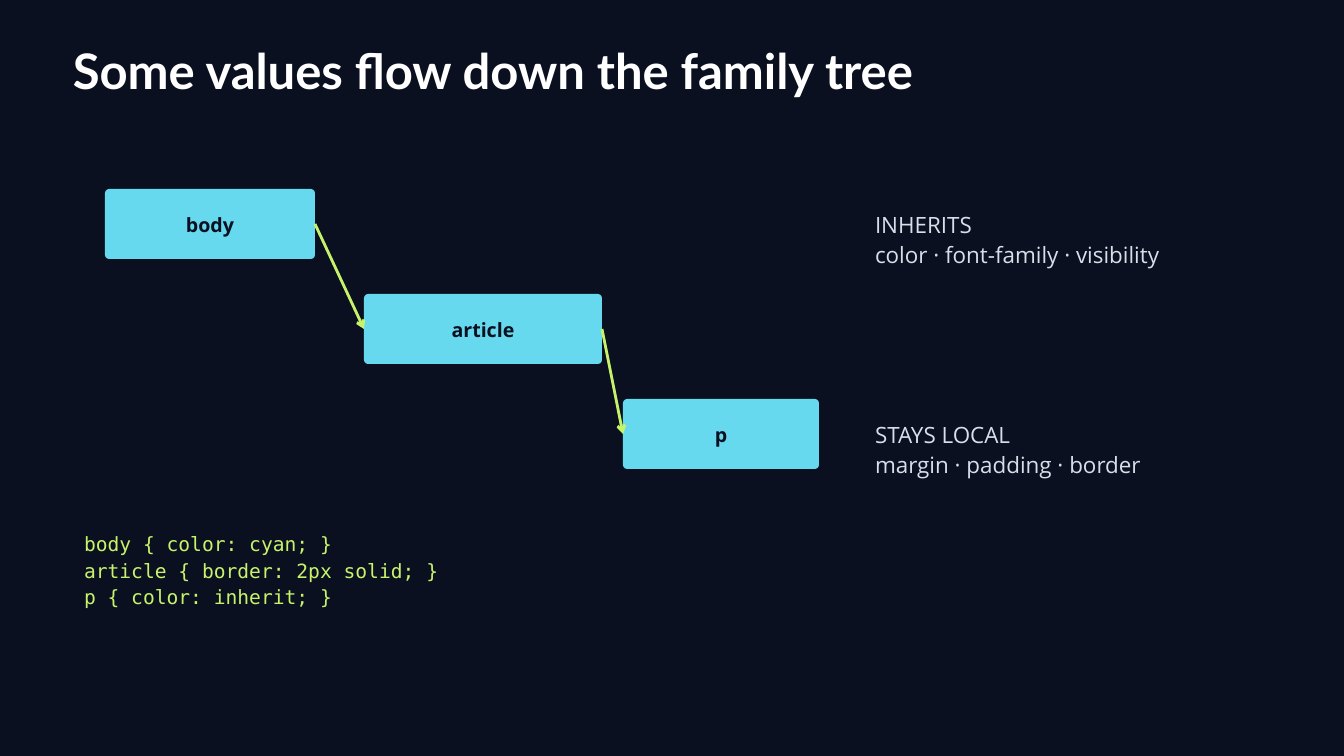
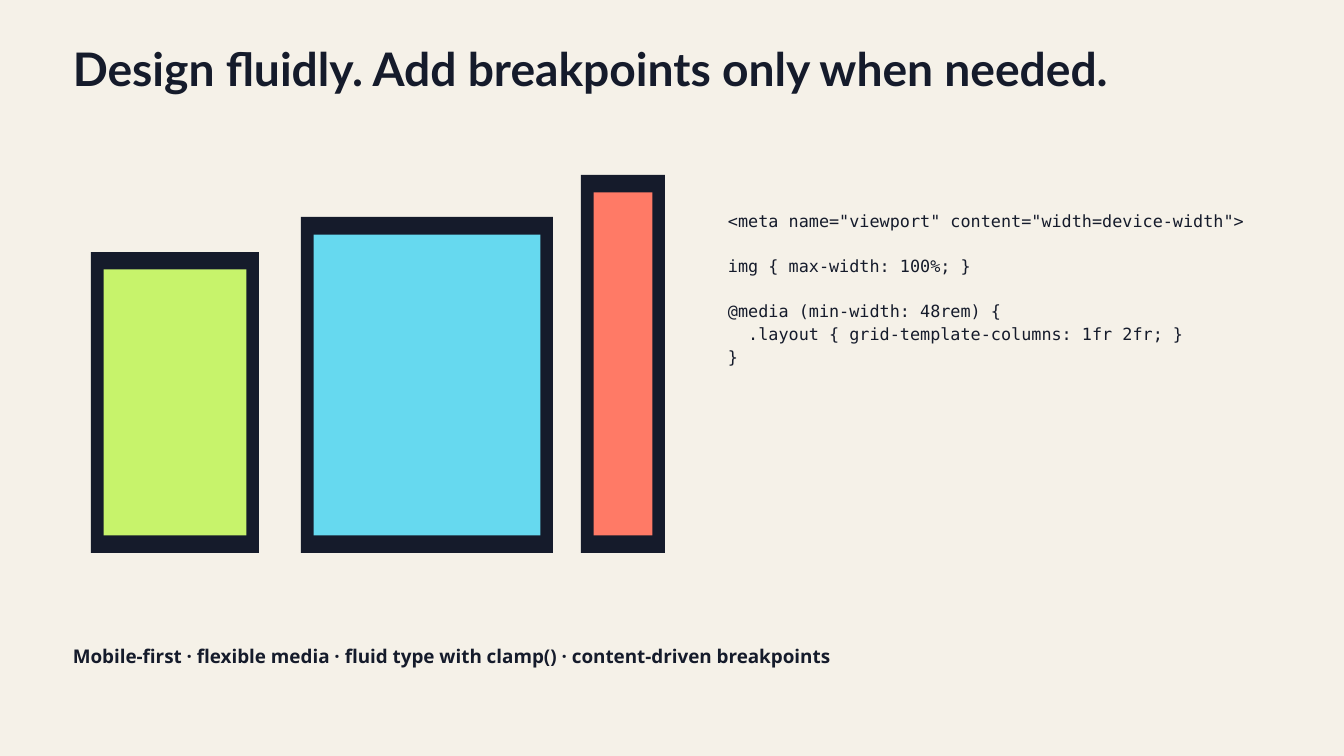
from dataclasses import dataclass

from lxml.etree import SubElement
from pptx import Presentation
from pptx.dml.color import RGBColor
from pptx.enum.shapes import MSO_CONNECTOR as Connector, MSO_SHAPE as Shape
from pptx.enum.text import MSO_ANCHOR as Anchor, PP_ALIGN as Align
from pptx.oxml.ns import qn
from pptx.util import Inches, Pt

COLUMNS = 192  # square cells: 192 columns by 108 rows
CELL = Inches(20) // COLUMNS


@dataclass(frozen=True)
class Style:
    font: str
    size: float
    leading: float
    bold: bool = False


@dataclass(frozen=True)
class Theme:
    night: str = "0B1020"
    paper: str = "F5F1E8"
    ink: str = "151B2B"
    white: str = "FFFFFF"
    mist: str = "D8DEEA"
    cyan: str = "66D9EF"
    lime: str = "C7F36B"
    coral: str = "FF7A66"
    title: Style = Style("Lato", 52.5, 53.5, True)
    long_title: Style = Style("Lato", 49.5, 50.5, True)
    label: Style = Style("Open Sans", 21, 29.4, True)
    note: Style = Style("Open Sans", 24, 32.4)
    summary: Style = Style("Open Sans", 20.2, 28.4, True)
    rules: Style = Style("DejaVu Sans Mono", 21, 28.4)
    listing: Style = Style("DejaVu Sans Mono", 18, 24.3)


THEME = Theme()


@dataclass(frozen=True)
class Box:
    """A region in grid columns and rows."""
    left: float
    top: float
    width: float
    height: float

    def within(self, left, top, width, height):
        return Box(self.left + left, self.top + top, width, height)

    def inset(self, across, down):
        return self.within(across, down, self.width - 2 * across, self.height - 2 * down)

    def emu(self):
        return [round(n * CELL) for n in (self.left, self.top, self.width, self.height)]


def rgb(color):
    return RGBColor.from_string(color)


def write(frame, lines, style, color, align=Align.LEFT):
    """Fill a frame line by line; an empty line becomes space before the next."""
    frame.word_wrap = True
    frame.text = "\n".join(line for line in lines if line)
    after_gap = [not before for before, line in zip(["start", *lines], lines) if line]
    for paragraph, gap in zip(frame.paragraphs, after_gap):
        paragraph.alignment = align
        paragraph.line_spacing = Pt(style.leading)
        if gap:
            paragraph.space_before = Pt(style.leading)
        for run in paragraph.runs:
            run.font.name = style.font
            run.font.size = Pt(style.size)
            run.font.bold = style.bold
            run.font.color.rgb = rgb(color)


def set_margins(frame, side, bottom):
    frame.margin_left = frame.margin_top = frame.margin_right = Inches(side)
    frame.margin_bottom = Inches(bottom)


def add_text(slide, box, lines, style, color):
    frame = slide.shapes.add_textbox(*box.emu()).text_frame
    set_margins(frame, 0, 0)
    write(frame, lines, style, color)


def add_block(slide, kind, box, color):
    block = slide.shapes.add_shape(kind, *box.emu())
    block.shadow.inherit = False
    block.fill.solid()
    block.fill.fore_color.rgb = rgb(color)
    block.line.fill.background()
    return block


def add_arrow(slide, parent, child):
    """Link the right side of the parent to the left side of the child."""
    arrow = slide.shapes.add_connector(Connector.STRAIGHT, 0, 0, 0, 0)
    arrow.begin_connect(parent, 3)
    arrow.end_connect(child, 1)
    arrow.line.color.rgb = rgb(THEME.lime)
    arrow.line.width = Pt(3)
    properties = arrow._element.spPr
    SubElement(properties.find(qn("a:ln")), qn("a:tailEnd"), type="arrow")
    SubElement(properties, qn("a:effectLst"))


def add_family_tree(slide, box, members):
    """Step the members down and right, each linked to the next."""
    step_right, step_down, height = 37, 15, 10
    nodes = []
    for level, (tag, width) in enumerate(members):
        place = box.within(level * step_right, level * step_down, width, height)
        node = add_block(slide, Shape.ROUNDED_RECTANGLE, place, THEME.cyan)
        node.adjustments[0] = 0.06
        node.text_frame.vertical_anchor = Anchor.MIDDLE
        set_margins(node.text_frame, 0.06, 0.09)
        write(node.text_frame, [tag], THEME.label, THEME.night, Align.CENTER)
        nodes.append(node)
    for parent, child in zip(nodes, nodes[1:]):
        add_arrow(slide, parent, child)


def add_notes_column(slide, box, notes):
    pitch = 30
    for row, lines in enumerate(notes):
        place = box.within(0, row * pitch, box.width, 8.4)
        add_text(slide, place, lines, THEME.note, THEME.mist)


def add_devices(slide, box, devices):
    """Stand framed screens on the bottom edge of the box."""
    for offset, width, height, color in devices:
        device = box.within(offset, box.height - height, width, height)
        add_block(slide, Shape.RECTANGLE, device, THEME.ink)
        add_block(slide, Shape.RECTANGLE, device.inset(1.8, 2.5), color)


def start_slide(deck, background, title, box, style, color):
    slide = deck.slides.add_slide(deck.slide_layouts[6])
    slide.background.fill.solid()
    slide.background.fill.fore_color.rgb = rgb(background)
    add_text(slide, box, [title], style, color)
    return slide


def inheritance_slide(deck):
    slide = start_slide(deck, THEME.night, "Some values flow down the family tree",
                        Box(10.4, 7.1, 140, 8.4), THEME.title, THEME.white)
    add_family_tree(slide, Box(15, 27, 102, 40),
                    [("body", 30), ("article", 34), ("p", 28)])
    add_notes_column(slide, Box(125, 29.7, 50, 38.4), [
        ["INHERITS", "color · font-family · visibility"],
        ["STAYS LOCAL", "margin · padding · border"],
    ])
    add_text(slide, Box(12, 75.6, 80, 11), [
        "body { color: cyan; }",
        "article { border: 2px solid; }",
        "p { color: inherit; }",
    ], THEME.rules, THEME.lime)


def responsive_slide(deck):
    slide = start_slide(deck, THEME.paper,
                        "Design fluidly. Add breakpoints only when needed.",
                        Box(10.4, 6.9, 165, 8), THEME.long_title, THEME.ink)
    add_text(slide, Box(104, 29.7, 76, 22.4), [
        '<meta name="viewport" content="width=device-width">',
        "",
        "img { max-width: 100%; }",
        "",
        "@media (min-width: 48rem) {",
        "  .layout { grid-template-columns: 1fr 2fr; }",
        "}",
    ], THEME.listing, THEME.ink)
    add_text(slide, Box(10.4, 91.5, 165, 3.6), [
        "Mobile-first · flexible media · fluid type with clamp() · "
        "content-driven breakpoints",
    ], THEME.summary, THEME.ink)
    add_devices(slide, Box(13, 25, 82, 54), [
        (0, 24, 43, THEME.lime),
        (30, 36, 48, THEME.cyan),
        (70, 12, 54, THEME.coral),
    ])


def main():
    deck = Presentation()
    deck.slide_width, deck.slide_height = Inches(20), Inches(11.25)
    inheritance_slide(deck)
    responsive_slide(deck)
    deck.save("out.pptx")


if __name__ == "__main__":
    main()
